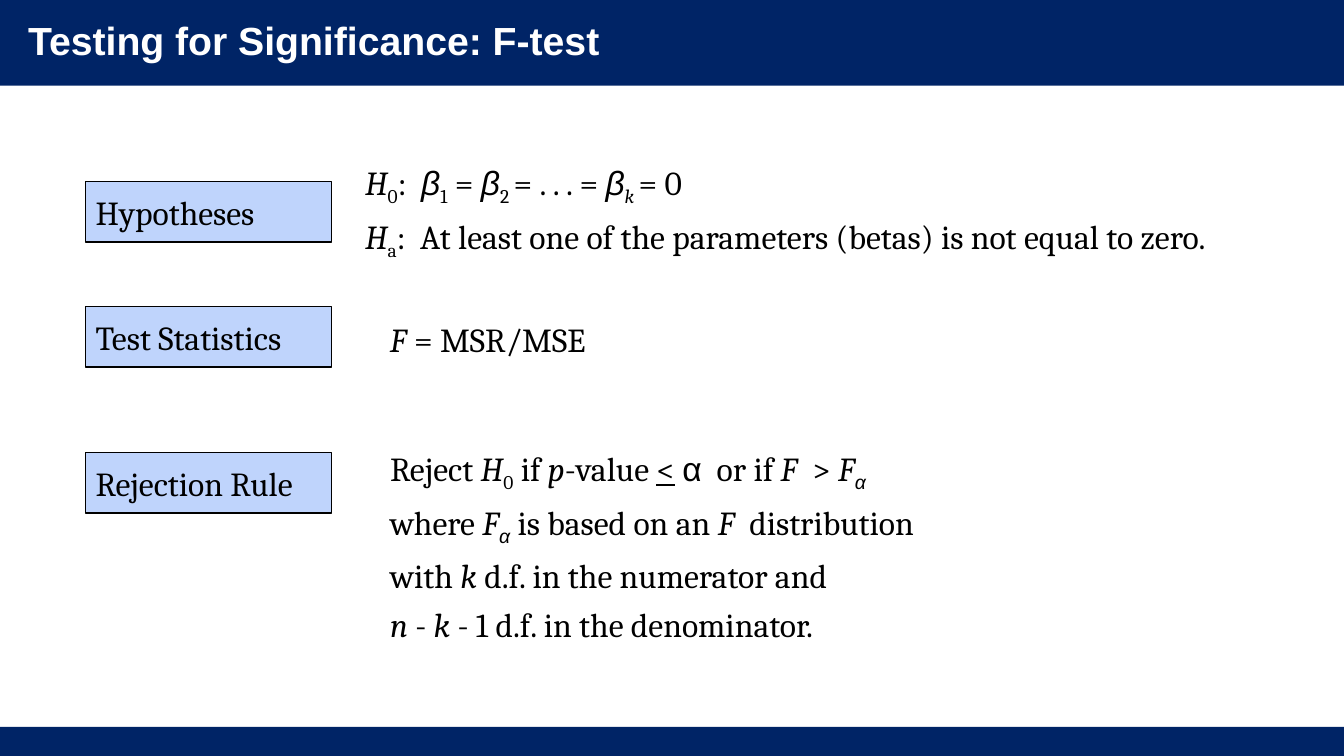
import pptx
import pptx.util
import pptx.dml.color
import pptx.enum.shapes
import pptx.enum.text

RGB = pptx.dml.color.RGBColor.from_string
Pt = pptx.util.Pt
W, H = pptx.util.Inches(13.33), pptx.util.Inches(7.5)
COL, ROW = W / 100, H / 100  # grid of 100 columns by 100 rows

THEME = {
    "navy": RGB("002466"), "label": RGB("BFD4FC"),
    "ink": RGB("000000"), "white": RGB("FFFFFF"),
    "title": {"name": "Arial", "size": Pt(28), "bold": True},
    "body": {"name": "Cambria", "size": Pt(24)},
    "para": {"space_before": Pt(5.6)},
}
# Letters used in a run's marks
MARKS = {
    "i": {"italic": True},
    "u": {"underline": True},
    "g": {"name": "Arial"},
}

BETA, F_ALPHA = ("β", "gi"), [("F", "i"), ("α", "gis")]
HYPOTHESES = [
    [(" H", "i"), ("0", "s"), (":  ", ""), BETA, ("1", "s"), (" = ", ""),
     BETA, ("2 ", "s"), ("= . . . = ", ""), BETA, ("k ", "is"), ("= 0", "")],
    [(" H", "i"), ("a", "s"),
     (":  At least one of the parameters (betas) is not equal to zero.", "")],
]
STATISTIC = [[("F", "i"), (" = MSR/MSE", "")]]
REJECTION = [
    [("Reject ", ""), ("H", "i"), ("0", "s"), (" if ", ""), ("p", "i"),
     ("-value ", ""), ("<", "u"), (" ", ""), ("α", "g"), ("  or if ", ""),
     ("F", "i"), ("  > ", ""), *F_ALPHA],
    [("where ", ""), *F_ALPHA, (" is based on an ", ""), ("F", "i"),
     ("  distribution", "")],
    [("with ", ""), ("k ", "i"), ("d.f. in the numerator and", "")],
    [("n", "i"), (" - ", ""), ("k ", "i"),
     ("- 1 d.f. in the denominator.", "")],
]
# Label top, label, lines, and detail box relative to the label's corner
SECTIONS = [
    (24, "Hypotheses", HYPOTHESES, (19.5, -6.8, 71.32, 21.6)),
    (40.53, "Test Statistics", STATISTIC, (21.9, 0, 19.05, 8.67)),
    (59.87, "Rejection Rule", REJECTION, (21.9, 0, 55.73, 24.67)),
]


def apply(obj, values):
    """Set each attribute of obj from a dict of values."""
    for key, value in values.items():
        setattr(obj, key, value)


def emu(box):
    """Turn a grid box (left, top, width, height) into slide lengths."""
    x, y, w, h = box
    return int(x * COL), int(y * ROW), int(w * COL), int(h * ROW)


def add_rect(s, box, fill, line=None):
    """Add a flat rectangle, outlined if a line colour is given."""
    sp = s.shapes.add_shape(pptx.enum.shapes.MSO_SHAPE.RECTANGLE, *emu(box))
    sp.shadow.inherit = False
    sp.fill.solid()
    sp.fill.fore_color.rgb = fill
    if line is None:
        sp.line.fill.background()
    else:
        sp.line.color.rgb = line
        sp.line.width = Pt(1)
    return sp


def write(sp, lines, font, colour, para):
    """Write lines of (text, marks) runs into a shape, centred vertically."""
    tf = sp.text_frame
    apply(tf, {"word_wrap": True,
               "vertical_anchor": pptx.enum.text.MSO_ANCHOR.MIDDLE})
    for n, line in enumerate(lines):
        p = tf.add_paragraph() if n else tf.paragraphs[0]
        apply(p, {"alignment": pptx.enum.text.PP_ALIGN.LEFT, **para})
        for text, marks in line:
            r = p.add_run()
            r.text = text
            apply(r.font, font)
            r.font.color.rgb = colour
            for mark in marks:
                apply(r.font, MARKS.get(mark, {}))
            if "s" in marks:
                r.font._element.set("baseline", "-25000")


def add_header(s, box, title):
    """Draw the title bar with its heading."""
    x, y, w, h = box
    add_rect(s, box, THEME["navy"])
    sp = s.shapes.add_textbox(*emu((x + 1.35, y + 1.87, 0.59 * w, 0.67 * h)))
    write(sp, [[(title, "")]], THEME["title"], THEME["white"],
          {"line_spacing": 0.9})


def add_section(s, box, label, lines, detail):
    """Draw a label box and the detail text placed relative to it."""
    sp = add_rect(s, box, THEME["label"], THEME["ink"])
    write(sp, [[(label, "")]], THEME["body"], THEME["ink"], {})
    dx, dy, w, h = detail
    sp = s.shapes.add_textbox(*emu((box[0] + dx, box[1] + dy, w, h)))
    write(sp, lines, THEME["body"], THEME["ink"], THEME["para"])


def build_test_slide(prs):
    """Build the F-test slide: title bar, three sections, footer bar."""
    s = prs.slides.add_slide(prs.slide_layouts[6])
    add_header(s, (0, 0, 100, 11.33), "Testing for Significance: F-test")
    add_rect(s, (0, 96.13, 100, 3.87), THEME["navy"])
    for top, label, lines, detail in SECTIONS:
        add_section(s, (6.38, top, 18.3, 8), label, lines, detail)


prs = pptx.Presentation()
apply(prs, {"slide_width": W, "slide_height": H})
build_test_slide(prs)
prs.save("out.pptx")
